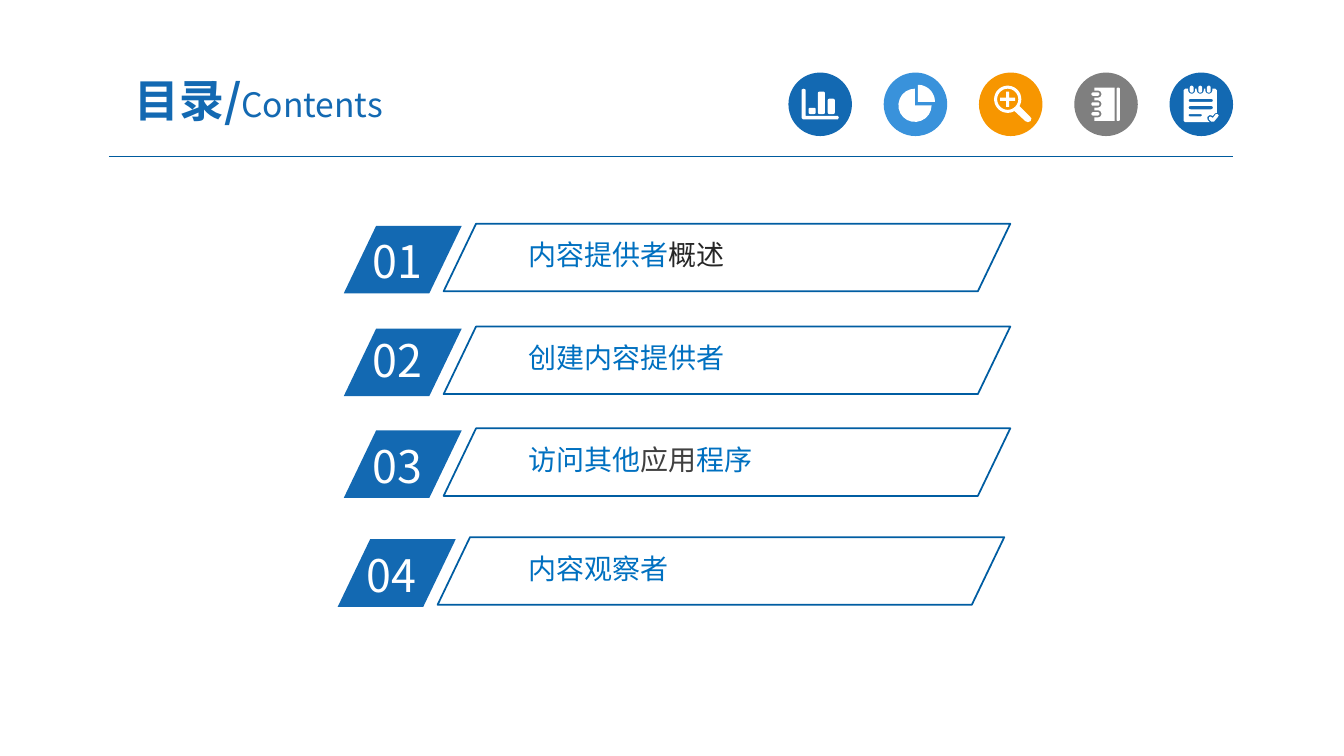
from math import cos, radians, sin

from lxml import etree
from pptx import Presentation
from pptx.dml.color import RGBColor
from pptx.enum.shapes import MSO_CONNECTOR, MSO_SHAPE
from pptx.enum.text import MSO_ANCHOR, PP_ALIGN
from pptx.oxml.ns import qn
from pptx.util import Pt

PX = 9144  # one px is a hundredth of an inch
ICON_UNIT = PX // 10
FONT = "Noto Sans CJK SC"
STRAIGHT = MSO_CONNECTOR.STRAIGHT
OVAL, PARALLELOGRAM = MSO_SHAPE.OVAL, MSO_SHAPE.PARALLELOGRAM
TOP, MIDDLE = MSO_ANCHOR.TOP, MSO_ANCHOR.MIDDLE
LEFT, CENTER = PP_ALIGN.LEFT, PP_ALIGN.CENTER
COLORS = {
    "blue": "1369B2", "sky": "3992DB", "orange": "F79600", "gray": "7F7F7F",
    "white": "FFFFFF", "rule": "005B9E", "outline": "005DA2",
    "topic": "0070C0", "ink": "262626", "charcoal": "404040",
}
# row left, row top, number top, topic runs
CONTENTS = [
    (440, 222, 227, [("内容提供者", "topic"), ("概述", "ink")]),
    (440, 324, 325, [("创建内容提供者", "topic")]),
    (440, 425, 430, [("访问其他", "topic"), ("应用", "charcoal"), ("程序", "topic")]),
    (434, 533, 538, [("内容观察者", "topic")]),
]


def color(name):
    return RGBColor.from_string(COLORS[name])


def arc(x, y, radius, start, end, steps=16):
    """Points along an arc; angles in degrees, clockwise from the right."""
    angles = [radians(start + (end - start) * i / steps) for i in range(steps + 1)]
    return [(x + radius * cos(angle), y + radius * sin(angle)) for angle in angles]


def rounded(left, top, width, height, radius):
    right, bottom = left + width - radius, top + height - radius
    left, top = left + radius, top + radius
    corners = [(right, bottom), (left, bottom), (left, top), (right, top)]
    return [point for i, (x, y) in enumerate(corners)
            for point in arc(x, y, radius, 90 * i, 90 * i + 90, 6)]


def bars_icon():
    axes = [(130, 170), (150, 160), (170, 170), (170, 430), (490, 430),
            (500, 447), (490, 465), (145, 465), (130, 450)]
    bars = [(200, 350), (292, 190), (390, 260)]
    return [axes] + [rounded(x, y, 70, 412 - y, 15) for x, y in bars]


def pie_icon():
    return [[(340, 290)] + arc(340, 290, 168, -90, 0),
            [(310, 325)] + arc(310, 325, 165, 0, 270)]


def magnifier_icon():
    x, y, arm, half = 285, 265, 75, 15
    handle = [(500, 430), (520, 455), (512, 482), (485, 492), (460, 482)]
    plus = [(x - half, y - arm), (x + half, y - arm), (x + half, y - half),
            (x + arm, y - half), (x + arm, y + half), (x + half, y + half),
            (x + half, y + arm), (x - half, y + arm), (x - half, y + half),
            (x - arm, y + half), (x - arm, y - half), (x - half, y - half)]
    return [arc(x, y, 135, 60, 390, 32) + handle, arc(x, y, 105, 0, 360, 32), plus]


def notebook_icon():
    ring_centers = [410, 312, 214]
    page = [(200, 150), (400, 150), (400, 480), (200, 480)]
    for y in ring_centers:
        page += [(200, y + 35)] + arc(235, y, 35, 90, -90) + [(200, y - 35)]
    rings = [rounded(170, y - 17, 80, 34, 17) for y in ring_centers]
    return [page, rounded(420, 150, 32, 330, 12)] + rings


def notepad_icon():
    ring_centers = [220, 305, 390]
    page = [(140, 175), (155, 160)]
    for x in ring_centers:
        page += [(x - 35, 160)] + arc(x, 175, 35, 180, 0) + [(x + 35, 160)]
    page += [(455, 160), (470, 175), (470, 400), (450, 405), (430, 430),
             (400, 420), (375, 440), (378, 470), (398, 492), (155, 492), (140, 478)]
    rings = [rounded(x - 19, 130, 38, 70, 19) for x in ring_centers]
    lines = [rounded(190, y, width, height, height / 2)
             for y, width, height in [(262, 240, 30), (332, 240, 32), (412, 130, 22)]]
    tick = [(480, 440), (440, 488), (415, 488), (390, 462), (393, 442),
            (408, 437), (430, 450), (458, 414), (475, 412), (488, 425)]
    return [page, tick] + rings + lines


def paint(shape, fill=None, line=None):
    shape.shadow.inherit = False
    if fill:
        shape.fill.solid()
        shape.fill.fore_color.rgb = color(fill)
    else:
        shape.fill.background()
    if line:
        shape.line.color.rgb = color(line)
        shape.line.width = Pt(1.25)
    else:
        shape.line.fill.background()


def add_preset(slide, preset, box, fill=None, line=None):
    shape = slide.shapes.add_shape(preset, *[round(value * PX) for value in box])
    paint(shape, fill, line)
    return shape


def add_text(slide, box, runs, size, insets=(10, 5), anchor=TOP, align=LEFT):
    """Add one paragraph of (text, color) runs and return it."""
    frame = slide.shapes.add_textbox(*[value * PX for value in box]).text_frame
    frame.word_wrap = True
    frame.vertical_anchor = anchor
    frame.margin_left = frame.margin_right = insets[0] * PX
    frame.margin_top = frame.margin_bottom = insets[1] * PX
    paragraph = frame.paragraphs[0]
    paragraph.alignment = align
    paragraph.font.size = Pt(size)
    paragraph.font.name = FONT
    properties = paragraph.font._element
    etree.SubElement(properties, qn("a:ea")).set("typeface", FONT)
    for text, name in runs:
        run = paragraph.add_run()
        run.text = text
        run.font.color.rgb = color(name)
    return paragraph


def add_icon(slide, left, top, fill, contours):
    add_preset(slide, OVAL, (left, top, 63, 63), fill)
    first, *others = contours
    builder = slide.shapes.build_freeform(*first[0], scale=ICON_UNIT)
    builder.add_line_segments(first[1:])
    for contour in others:
        builder.move_to(*contour[0])
        builder.add_line_segments(contour[1:])
    paint(builder.convert_to_shape(round(left * PX), round(top * PX)), "white")


def add_header(slide, left, top, right):
    rule = slide.shapes.add_connector(
        STRAIGHT, left * PX, (top + 83) * PX, right * PX, (top + 83) * PX)
    rule.line.color.rgb = color("rule")
    rule.line.width = Pt(0.75)
    etree.SubElement(rule._element.spPr, qn("a:effectLst"))

    icons = [("blue", bars_icon), ("sky", pie_icon), ("orange", magnifier_icon),
             ("gray", notebook_icon), ("blue", notepad_icon)]
    for i, (fill, draw) in enumerate(icons):
        add_icon(slide, right - 441 + i * 94.5, top, fill, draw())

    title = add_text(slide, (left - 16, top - 9, 329, 72),
                     [("目录/", "blue"), ("Contents", "blue")], 32,
                     (13, 7), MIDDLE, CENTER)
    heading, subtitle = title.runs
    heading.font.bold = True
    subtitle.font.size = Pt(24)


def add_contents_row(slide, left, top, number, number_top, topic):
    badge = add_preset(slide, PARALLELOGRAM, (left - 99, top + 2, 117, 67), "blue")
    frame = add_preset(slide, PARALLELOGRAM, (left, top, 562, 67), line="outline")
    for shape in (badge, frame):
        shape.adjustments[0] = 0.48
    add_text(slide, (left - 80, number_top, 112, 64), [(number, "white")], 32)
    add_text(slide, (517, top + 10, 412, 41), topic, 20, (7, 4))


def main():
    presentation = Presentation()
    presentation.slide_width, presentation.slide_height = 1333 * PX, 750 * PX
    slide = presentation.slides.add_slide(presentation.slide_layouts[6])
    add_header(slide, 108, 72, 1223)
    for i, (left, top, number_top, topic) in enumerate(CONTENTS, 1):
        add_contents_row(slide, left, top, f"{i:02}", number_top, topic)
    presentation.save("out.pptx")


if __name__ == "__main__":
    main()
